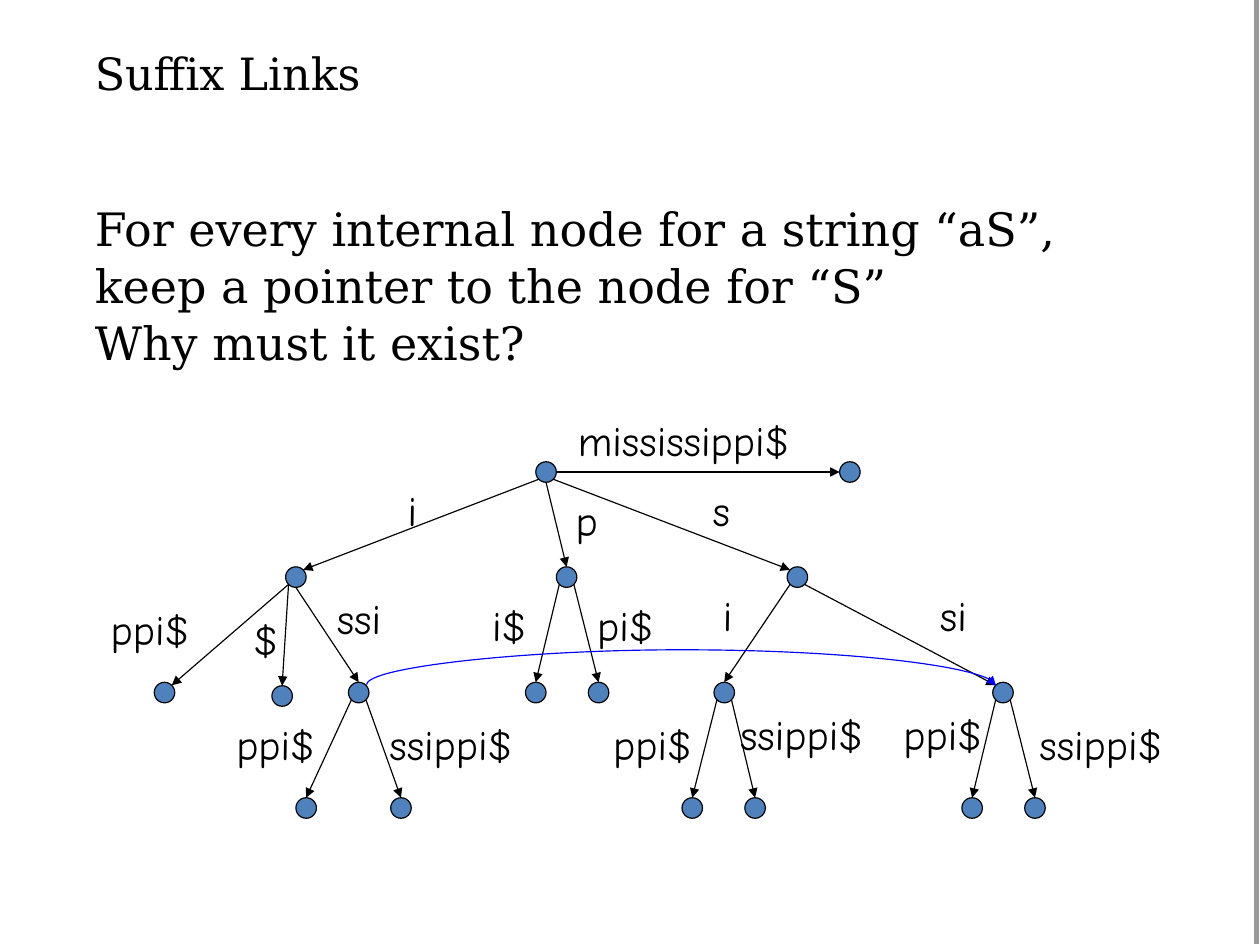
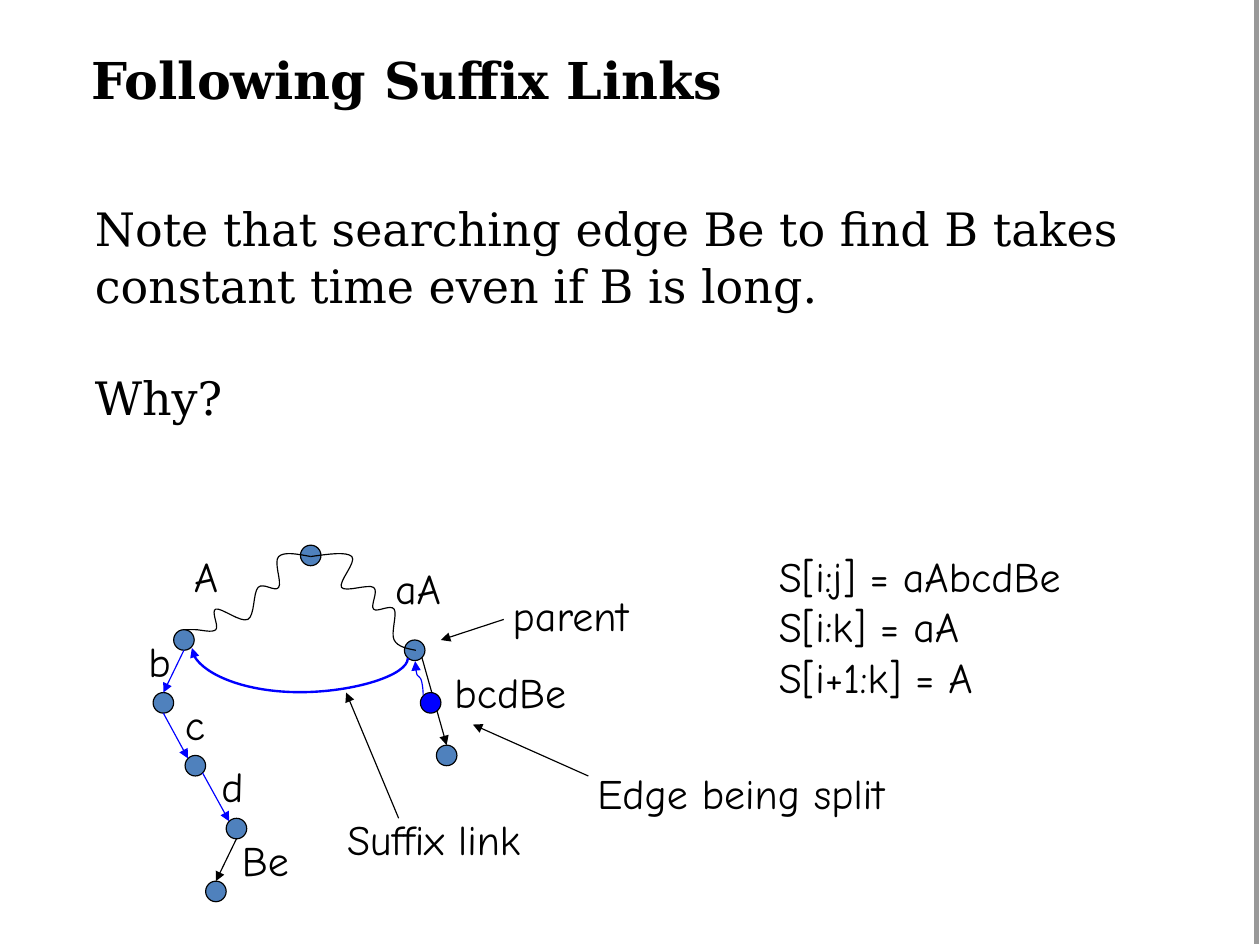
import math

import pptx
import pptx.dml.color
import pptx.enum.shapes
import pptx.enum.text
import pptx.oxml
import pptx.oxml.ns
import pptx.util
from lxml import etree

Inches = pptx.util.Inches
Pt = pptx.util.Pt
qn = pptx.oxml.ns.qn
Kind = pptx.enum.shapes.MSO_CONNECTOR

COLOURS = {"ink": "000000", "node": "4F81BD", "link": "0000FF", "edge_band": "999999"}
SERIF = "DejaVu Serif"
LABEL_FONT = "Comic Neue"
LABEL_SIZE = 26.4
LABEL_HEIGHT = 0.55
RADIUS = 0.09
DIAGRAM_BOX = (0, 3)
SITES = {"E": 0, "SE": 45, "S": 90, "SW": 135, "W": 180, "NW": 225, "N": 270, "NE": 315}
LABEL_WIDTHS = {
    "mississippi$": 2.28, "i": 0.31, "p": 0.4, "s": 0.38, "ppi$": 0.96, "$": 0.46,
    "ssi": 0.67, "ssippi$": 1.42, "i$": 0.56, "pi$": 0.76, "si": 0.49, "A": 0.47,
    "aA": 0.66, "b": 0.42, "c": 0.39, "d": 0.42, "Be": 0.64, "bcdBe": 1.27,
    "parent": 1.34, "Suffix link": 2.06, "Edge being split": 2.95,
}

SUFFIX_TREE = [
    ("root", 4.78, 1.13, None),
    ("whole", 7.44, 1.13, ("root", "E", "W", "ink"), ("mississippi$", 4.96, 0.58)),
    ("i", 2.59, 2.05, ("root", "SW", "NE", "ink"), ("i", 3.47, 1.19)),
    ("p", 4.96, 2.05, ("root", "S", "N", "ink"), ("p", 4.94, 1.28)),
    ("s", 6.98, 2.05, ("root", "SE", "NW", "ink"), ("s", 6.14, 1.19)),
    ("ippi$", 1.44, 3.06, ("i", "SW", "NE", "ink"), ("ppi$", 0.87, 2.23)),
    ("i end", 2.47, 3.09, ("i", "SW", "N", "ink"), ("$", 2.12, 2.32)),
    ("issi", 3.14, 3.06, ("i", "S", "N", "ink"), ("ssi", 2.85, 2.14)),
    ("pi$", 4.69, 3.06, ("p", "SW", "N", "ink"), ("i$", 4.21, 2.2)),
    ("ppi$", 5.24, 3.06, ("p", "SE", "N", "ink"), ("pi$", 5.13, 2.2)),
    ("si", 6.34, 3.06, ("s", "SW", "N", "ink"), ("i", 6.23, 2.11)),
    ("ssi", 8.78, 3.06, ("s", "SE", "NW", "ink"), ("si", 8.13, 2.11)),
    ("issippi$", 2.68, 4.07, ("issi", "SW", "N", "ink"), ("ppi$", 1.97, 3.24)),
    ("ississippi$", 3.51, 4.07, ("issi", "SE", "N", "ink"), ("ssippi$", 3.31, 3.24)),
    ("sippi$", 6.06, 4.07, ("si", "SW", "N", "ink"), ("ppi$", 5.27, 3.24)),
    ("sissippi$", 6.61, 4.07, ("si", "SE", "N", "ink"), ("ssippi$", 6.38, 3.15)),
    ("ssippi$", 8.51, 4.07, ("ssi", "SW", "N", "ink"), ("ppi$", 7.81, 3.15)),
    ("ssissippi$", 9.06, 4.07, ("ssi", "SE", "N", "ink"), ("ssippi$", 9, 3.24)),
]

SPLIT_TREE = [
    ("root", 2.72, 1.86, None),
    ("A", 1.61, 2.6, None, ("A", 1.6, 1.77)),
    ("aA", 3.63, 2.69, None, ("aA", 3.36, 1.87)),
    ("leaf", 3.91, 3.61, ("aA", "SE", "N", "ink"), ("bcdBe", 3.88, 2.78)),
    ("b", 1.43, 3.15, ("A", "S", "N", "link"), ("b", 1.2, 2.51)),
    ("c", 1.71, 3.7, ("b", "S", "NW", "link"), ("c", 1.52, 3.06)),
    ("d", 2.07, 4.25, ("c", "SE", "NW", "link"), ("d", 1.84, 3.61)),
    ("Be", 1.89, 4.8, ("d", "S", "N", "ink"), ("Be", 2.02, 4.25)),
]
WAVES = [
    [(2.72, 1.87), (2.44, 1.87), (2.44, 2.14), (2.26, 2.14), (2.17, 2.42),
     (1.89, 2.33), (1.89, 2.51), (1.71, 2.51), (1.62, 2.51)],
    [(2.72, 1.87), (3.08, 1.87), (2.99, 2.14), (3.27, 2.14), (3.27, 2.33),
     (3.45, 2.33), (3.45, 2.6), (3.64, 2.69)],
]
CALLOUTS = [
    ("Suffix link", 2.94, 4.07, (3.49, 4.16), (3.03, 3.06)),
    ("Edge being split", 5.13, 3.67, (5.15, 3.79), (4.14, 3.34)),
    ("parent", 4.39, 2.11, (4.41, 2.42), (3.86, 2.6)),
]


def rgb(name):
    return pptx.dml.color.RGBColor.from_string(COLOURS[name])


def set_font(paragraph, name, size, bold=False):
    paragraph.font.name = name
    paragraph.font.size = Pt(size)
    paragraph.font.bold = bold
    paragraph.font.color.rgb = rgb("ink")


def place(shape, left, top, width, height):
    shape.left, shape.top = Inches(left), Inches(top)
    shape.width, shape.height = Inches(width), Inches(height)


def set_frame(shape):
    frame = shape.text_frame
    frame.margin_left = frame.margin_right = frame.margin_top = frame.margin_bottom = 0
    frame.vertical_anchor = pptx.enum.text.MSO_ANCHOR.TOP
    frame.auto_size = pptx.enum.text.MSO_AUTO_SIZE.SHAPE_TO_FIT_TEXT
    frame.word_wrap = True
    return frame


def add_page(deck, title, title_box, title_size, bold, body, gap=0):
    page = deck.slides.add_slide(deck.slide_layouts[1])
    heading = page.shapes.title
    place(heading, *title_box)
    frame = set_frame(heading)
    frame.text = title
    frame.paragraphs[0].alignment = pptx.enum.text.PP_ALIGN.LEFT
    set_font(frame.paragraphs[0], SERIF, title_size, bold)

    content = page.placeholders[1]
    place(content, 0.83, 1.74, 9.37, 1.46 + gap / 72)
    frame = set_frame(content)
    frame.text = "\n".join(body)
    for index, paragraph in enumerate(frame.paragraphs):
        properties = paragraph._p.get_or_add_pPr()
        properties.set("marL", "0")
        properties.set("indent", "0")
        paragraph.line_spacing = 1.03
        paragraph.space_before = Pt(gap if index else 0)
        etree.SubElement(properties, qn("a:buNone"))
        set_font(paragraph, SERIF, 29)
    return page


class Diagram:
    def __init__(self, page, box):
        self.shapes = page.shapes
        self.left, self.top = box
        self.nodes = {}

    def at(self, x, y):
        return Inches(self.left + x), Inches(self.top + y)

    def node(self, x, y, colour="node"):
        circle = self.shapes.add_shape(
            pptx.enum.shapes.MSO_SHAPE.OVAL, *self.at(x - RADIUS, y - RADIUS),
            Inches(2 * RADIUS), Inches(2 * RADIUS))
        circle.shadow.inherit = False
        circle.fill.solid()
        circle.fill.fore_color.rgb = rgb(colour)
        circle.line.color.rgb = rgb("ink")
        circle.line.width = Pt(0.75)

    def label(self, text, x, y, width=None, height=LABEL_HEIGHT):
        box = self.shapes.add_textbox(
            *self.at(x, y), Inches(width or LABEL_WIDTHS[text]), Inches(height))
        frame = box.text_frame
        frame.word_wrap = False
        frame.auto_size = pptx.enum.text.MSO_AUTO_SIZE.SHAPE_TO_FIT_TEXT
        frame.text = text
        for paragraph in frame.paragraphs:
            set_font(paragraph, LABEL_FONT, LABEL_SIZE)

    def arrow(self, start, end, colour="ink", width=0.75, kind=Kind.STRAIGHT):
        line = add_line(self.shapes, self.at(*start), self.at(*end), colour, width, kind)
        etree.SubElement(line.line._get_or_add_ln(), qn("a:tailEnd"), type="triangle")
        return line

    def curve(self, start, end, turn, bend, width=0.75):
        line = self.arrow(start, end, "link", width, Kind.CURVE)
        properties = line.element.spPr
        properties.find(qn("a:xfrm")).set("rot", str(turn * 60000))
        geometry = properties.find(qn("a:prstGeom"))
        guides = geometry.find(qn("a:avLst"))
        if guides is None:
            guides = etree.SubElement(geometry, qn("a:avLst"))
        etree.SubElement(guides, qn("a:gd"), name="adj1", fmla=f"val {round(bend * 100000)}")

    def site(self, name, side):
        x, y = self.nodes[name]
        angle = math.radians(SITES[side])
        return x + RADIUS * math.cos(angle), y + RADIUS * math.sin(angle)

    def tree(self, rows):
        for name, x, y, edge, *labels in rows:
            self.nodes[name] = (x, y)
            self.node(x, y)
            if edge:
                parent, start, end, colour = edge
                self.arrow(self.site(parent, start), self.site(name, end), colour)
            for label in labels:
                self.label(*label)

    def wave(self, knots):
        points = [self.at(*point) for point in smooth_points(knots)]
        builder = self.shapes.build_freeform(*points[0])
        builder.add_line_segments(points[1:], close=False)
        outline = builder.convert_to_shape()
        outline.shadow.inherit = False
        outline.fill.background()
        outline.line.color.rgb = rgb("ink")
        outline.line.width = Pt(0.75)


def add_line(shapes, start, end, colour, width, kind=Kind.STRAIGHT):
    line = shapes.add_connector(kind, *start, *end)
    line.line.color.rgb = rgb(colour)
    line.line.width = Pt(width)
    etree.SubElement(line.element.spPr, qn("a:effectLst"))
    return line


def mix(first, second, share):
    return tuple(a + (b - a) * share for a, b in zip(first, second))


def smooth_points(knots, steps=8):
    points = [knots[0]]
    last = len(knots) - 1
    for index in range(last):
        start, end = knots[index], knots[index + 1]
        leave = arrive = None
        if index > 0:
            leave = tuple(s + (e - b) / 6 for s, e, b in zip(start, end, knots[index - 1]))
        if index + 1 < last:
            arrive = tuple(e - (n - s) / 6 for s, e, n in zip(start, end, knots[index + 2]))
        leave = leave or mix(start, arrive, 0.5)
        arrive = arrive or mix(leave, end, 0.5)
        for step in range(1, steps + 1):
            share = step / steps
            middle = mix(leave, arrive, share)
            near = mix(mix(start, leave, share), middle, share)
            far = mix(middle, mix(arrive, end, share), share)
            points.append(mix(near, far, share))
    return points


def add_master_band(deck, page):
    x = Inches(11)
    band = add_line(page.shapes, (x, 0), (x, deck.slide_height), "edge_band", 2.89)
    deck.slide_master.element.cSld.spTree.append(band.element)


def draw_suffix_tree(page, box):
    diagram = Diagram(page, box)
    diagram.tree(SUFFIX_TREE)
    diagram.curve((5.96, 5.75), (5.97, 0.24), 90, -31)


def draw_split(page, box):
    diagram = Diagram(page, box)
    diagram.tree(SPLIT_TREE)
    for knots in WAVES:
        diagram.wave(knots)
    diagram.curve((2.58, 3.66), (2.67, 1.77), 270, -3.29, 1.5)
    diagram.node(3.77, 3.15, "link")
    diagram.curve((3.82, 2.9), (3.52, 2.97), 90, 0.54)
    for text, x, y, start, end in CALLOUTS:
        diagram.label(text, x, y)
        diagram.arrow(start, end)
    diagram.label("S[i:j] = aAbcdBe\nS[i:k] = aA\nS[i+1:k] = A", 6.72, 1.77, 3.04, 1.44)


def main():
    deck = pptx.Presentation()
    deck.slide_width, deck.slide_height = Inches(11.03), Inches(8.26)
    page = add_page(
        deck, "Suffix Links", (0.83, 0.4, 9.71, 0.47), 28, False,
        ["For every internal node for a string “aS”, keep a pointer to the node for “S”",
         "Why must it exist?"])
    add_master_band(deck, page)
    draw_suffix_tree(page, DIAGRAM_BOX)
    page = add_page(
        deck, "Following Suffix Links", (0.8, 0.43, 9.71, 0.54), 32, True,
        ["Note that searching edge Be to find B takes constant time even if B is long.",
         "Why?"], 35)
    draw_split(page, DIAGRAM_BOX)
    deck.save("out.pptx")


if __name__ == "__main__":
    main()
